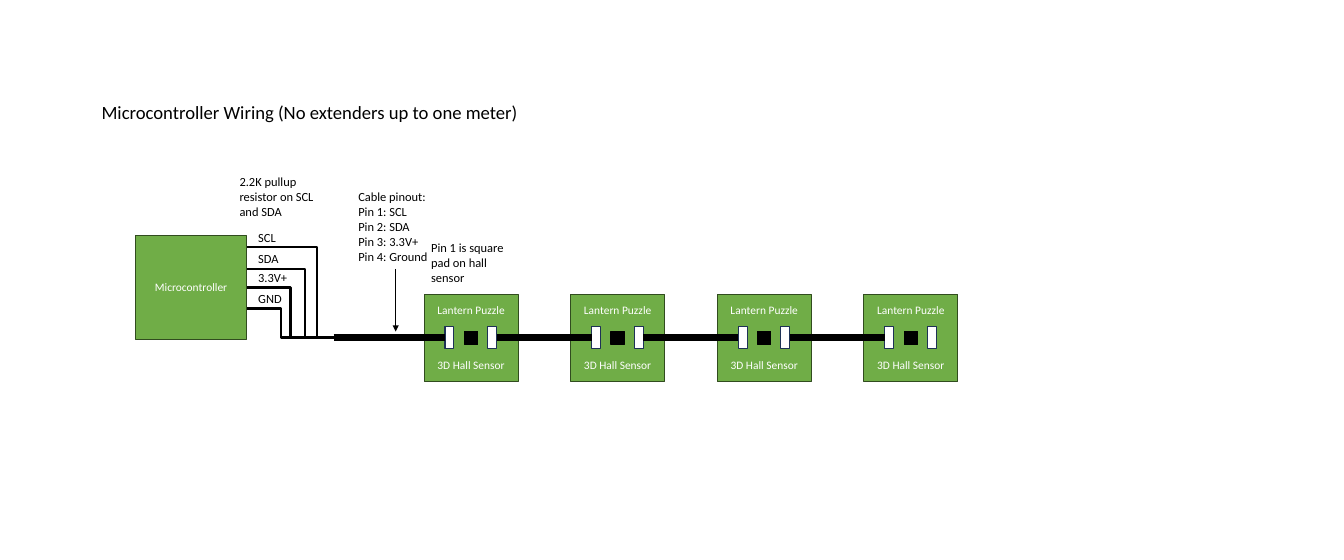
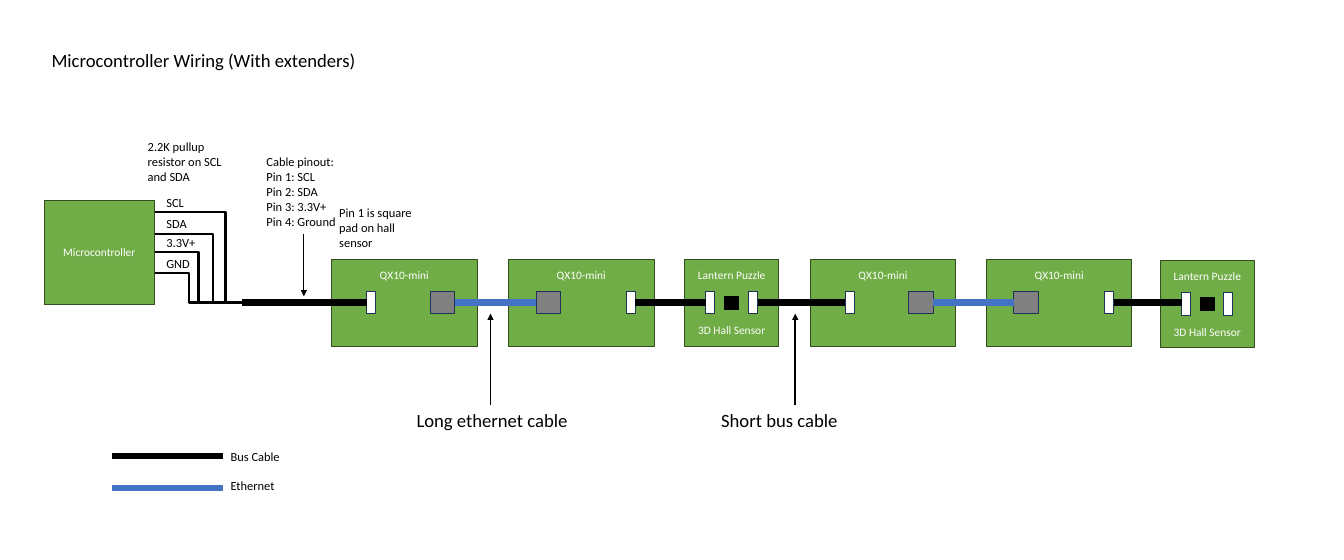
import pptx
import pptx.dml.color
import pptx.enum.shapes
import pptx.enum.text
import pptx.oxml.ns
import pptx.util
from lxml import etree

RGBColor = pptx.dml.color.RGBColor
BLACK = RGBColor(0x00, 0x00, 0x00)
WHITE = RGBColor(0xFF, 0xFF, 0xFF)
GREEN = RGBColor(0x70, 0xAD, 0x47)
DARK_GREEN = RGBColor(0x31, 0x4C, 0x1F)
GRAY = RGBColor(0x80, 0x80, 0x80)
NAVY = RGBColor(0x1E, 0x32, 0x56)
BLUE = RGBColor(0x44, 0x72, 0xC4)

Align = pptx.enum.text.PP_ALIGN
Anchor = pptx.enum.text.MSO_ANCHOR
Connector = pptx.enum.shapes.MSO_CONNECTOR
qn = pptx.oxml.ns.qn

# The slide is a grid of 180 columns by 75 rows; all places are in cells.
COLUMNS, ROWS = 180, 75
CABLE_WEIGHT, WIRE_WEIGHT = 6, 2.25
BOARD_HEIGHT, SENSOR_WIDTH, EXTENDER_WIDTH = 11.7, 12.6, 19.5
PAD_WIDTH, JACK_WIDTH, PORT_HEIGHT, PORT_TOP = 1.2, 3.3, 3, 4.3
SENSOR_IN, SENSOR_OUT = 2.8, 8.5
CABLE_DROP = 5.8

# Wires: label, row, bend column and end column, from the controller's corner
WIRES = [
    ("SCL", 1.6, 24.3, 27.3),
    ("SDA", 4.5, 22.6, 26.9),
    ("3.3V+", 7, 20.7, 26.5),
    ("GND", 9.8, 19.4, 27.3),
]
PINOUT = ["Cable pinout:", "Pin 1: SCL", "Pin 2: SDA", "Pin 3: 3.3V+", "Pin 4: Ground"]


class Diagram:
    """Holds the style and the current slide."""

    font = "Calibri"

    def __init__(self, deck):
        self.deck = deck
        self.cell_width = deck.slide_width / COLUMNS
        self.cell_height = deck.slide_height / ROWS
        self.page = None

    def x(self, columns):
        return pptx.util.Emu(round(columns * self.cell_width))

    def y(self, rows):
        return pptx.util.Emu(round(rows * self.cell_height))

    def frame(self, left, top, width, height):
        return self.x(left), self.y(top), self.x(width), self.y(height)

    def add_text(self, para, text, size, color):
        span = para.add_run()
        span.text = text
        span.font.name = self.font
        span.font.size = pptx.util.Pt(size)
        span.font.color.rgb = color

    def start(self, title, left, top):
        self.page = self.deck.slides.add_slide(self.deck.slide_layouts[5])
        box = self.page.shapes.title
        box.left, box.top, box.width, box.height = self.frame(left, top, 63.4, 4)
        box.text_frame.vertical_anchor = Anchor.TOP
        box.text_frame.auto_size = pptx.enum.text.MSO_AUTO_SIZE.NONE
        para = box.text_frame.paragraphs[0]
        para.alignment = Align.LEFT
        self.add_text(para, title, 18, BLACK)

    def note(self, lines, left, top, width, height, size=12):
        box = self.page.shapes.add_textbox(*self.frame(left, top, width, height))
        box.text_frame.word_wrap = True
        box.text_frame.auto_size = pptx.enum.text.MSO_AUTO_SIZE.SHAPE_TO_FIT_TEXT
        for index, text in enumerate(lines):
            para = box.text_frame.add_paragraph() if index else box.text_frame.paragraphs[0]
            self.add_text(para, text, size, BLACK)

    def block(self, shapes, left, top, width, height, fill, outline):
        box = shapes.add_shape(pptx.enum.shapes.MSO_SHAPE.RECTANGLE,
                               *self.frame(left, top, width, height))
        box.shadow.inherit = False
        box.fill.solid()
        box.fill.fore_color.rgb = fill
        box.line.color.rgb = outline
        box.line.width = pptx.util.Pt(1)
        return box

    def line(self, x1, y1, x2, y2, weight=CABLE_WEIGHT, color=BLACK, bend=None, arrow=False):
        kind = Connector.STRAIGHT if bend is None else Connector.ELBOW
        link = self.page.shapes.add_connector(
            kind, self.x(x1), self.y(y1), self.x(x2), self.y(y2))
        link.line.color.rgb = color
        link.line.width = pptx.util.Pt(weight)
        props = link.element.spPr
        if bend is not None:
            share = round((bend - x1) / (x2 - x1) * 100000)
            guides = props.find(qn("a:prstGeom")).find(qn("a:avLst"))
            etree.SubElement(guides, qn("a:gd"), name="adj1", fmla=f"val {share}")
        if arrow:
            etree.SubElement(props.find(qn("a:ln")), qn("a:tailEnd"), type="triangle")
        etree.SubElement(props, qn("a:effectLst"))

    def board(self, left, top, width, labels):
        group = self.page.shapes.add_group_shape()
        box = self.block(group.shapes, left, top, width, BOARD_HEIGHT, GREEN, DARK_GREEN)
        box.text_frame.vertical_anchor = Anchor.TOP
        box.text_frame.margin_top = self.y(1.2)
        for index, text in enumerate(labels):
            para = box.text_frame.add_paragraph() if index else box.text_frame.paragraphs[0]
            para.alignment = Align.CENTER
            para.space_before = pptx.util.Pt(40 if index else 0)
            self.add_text(para, text, 11, WHITE)
        return group.shapes

    def port(self, shapes, left, top, width, fill):
        self.block(shapes, left, top + PORT_TOP, width, PORT_HEIGHT, fill, NAVY)

    def sensor(self, left, top):
        shapes = self.board(left, top, SENSOR_WIDTH, ["Lantern Puzzle", "3D Hall Sensor"])
        for offset in (SENSOR_IN, SENSOR_OUT):
            self.port(shapes, left + offset, top, PAD_WIDTH, WHITE)
        self.block(shapes, left + 5.4, top + 4.95, 1.8, 1.8, BLACK, BLACK)

    def extender(self, left, top, pad, jack):
        shapes = self.board(left, top, EXTENDER_WIDTH, ["QX10-mini"])
        self.port(shapes, left + jack, top, JACK_WIDTH, GRAY)
        self.port(shapes, left + pad, top, PAD_WIDTH, WHITE)

    def controller(self, left, top, cable_end):
        """Draws the controller, its four wires, the first cable and the notes."""
        cable_row = top + 13.7
        self.line(left + 26.5, cable_row, cable_end, cable_row)
        for label, row, bend, end in WIRES:
            self.line(left + 14.8, top + row, left + end, cable_row,
                      WIRE_WEIGHT, bend=left + bend)
            self.note([label], left + 15.4, top + row - 2.8, 9, 3)
        box = self.block(self.page.shapes, left, top, 14.8, 14, GREEN, DARK_GREEN)
        box.text_frame.vertical_anchor = Anchor.MIDDLE
        para = box.text_frame.paragraphs[0]
        para.alignment = Align.CENTER
        self.add_text(para, "Microcontroller", 11, WHITE)
        self.note(["2.2K pullup resistor on SCL and SDA"], left + 12.9, top - 8.65, 13.1, 7.1)
        self.note(PINOUT, left + 28.8, top - 6.65, 12.1, 11.1)
        self.note(["Pin 1 is square pad on hall sensor"], left + 38.55, top + 0.15, 12.1, 7.1)
        self.line(left + 34.8, top + 4.5, left + 34.8, top + 12.9, 1, arrow=True)


def draw_direct_wiring(diagram):
    diagram.start("Microcontroller Wiring (No extenders up to one meter)", 12.6, 13)
    top = 39.4
    sensors = [56.8 + 19.63 * index for index in range(4)]
    for left in sensors:
        diagram.sensor(left, top)
    for left, following in zip(sensors, sensors[1:]):
        diagram.line(left + SENSOR_OUT + PAD_WIDTH, top + CABLE_DROP,
                     following + SENSOR_IN, top + CABLE_DROP)
    diagram.controller(18.2, 31.5, sensors[0] + SENSOR_IN)


def draw_extended_wiring(diagram):
    diagram.start("Microcontroller Wiring (With extenders)", 5.9, 6.1)
    top = 34.7

    # Boards: each pair of extenders is followed by a sensor
    for sender, receiver in ((44.4, 68.1), (108.5, 132.1)):
        diagram.extender(sender, top, pad=4.7, jack=13.2)
        diagram.extender(receiver, top, pad=15.8, jack=3.7)
        diagram.line(sender + 16.5, top + CABLE_DROP, receiver + 3.7, top + CABLE_DROP,
                     color=BLUE)
    diagram.sensor(91.7, top)
    diagram.sensor(155.4, top + 0.2)

    # Cables between extenders and sensors
    for start, end in ((85.1, 94.5), (101.5, 113.2), (149.2, 158.3)):
        diagram.line(start, top + CABLE_DROP, end, top + CABLE_DROP)
    diagram.controller(5.9, 26.8, 49.1)

    # Callouts
    for text, column in (("Long ethernet cable", 65.7), ("Short bus cable", 106.5)):
        diagram.line(column, 54.2, column, 42, 1.5, arrow=True)
        diagram.note([text], column - 10.9, 54.2, 23.2, 4, size=18)

    # Legend
    for text, row, label_row, color in (("Bus Cable", 61.1, 59.6, BLACK),
                                        ("Ethernet", 65.4, 63.5, BLUE)):
        diagram.line(15, row, 29.9, row, color=color)
        diagram.note([text], 29.9, label_row, 13.3, 3)


def main():
    deck = pptx.Presentation()
    deck.slide_width = pptx.util.Inches(18)
    deck.slide_height = pptx.util.Inches(7.5)
    diagram = Diagram(deck)
    draw_direct_wiring(diagram)
    draw_extended_wiring(diagram)
    deck.save("out.pptx")


if __name__ == "__main__":
    main()
